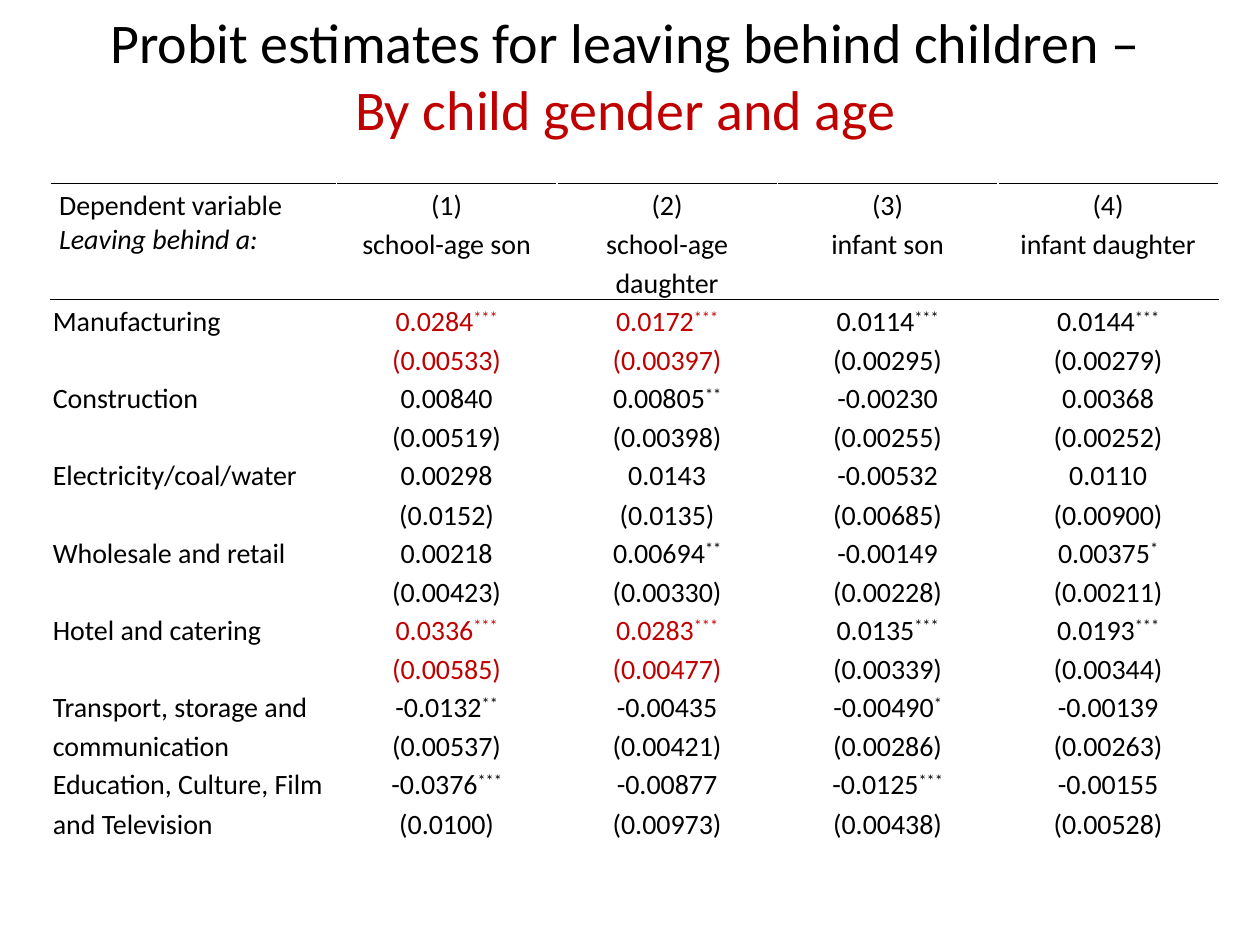
"""Build a slide with a table of probit estimates by child gender and age."""
from copy import deepcopy

from lxml import etree
from pptx import Presentation
from pptx.dml.color import RGBColor
from pptx.enum.text import MSO_ANCHOR, MSO_AUTO_SIZE, PP_ALIGN
from pptx.oxml.ns import qn
from pptx.util import Pt

CENTER, LEFT = PP_ALIGN.CENTER, PP_ALIGN.LEFT
MIDDLE = MSO_ANCHOR.MIDDLE
GROW = MSO_AUTO_SIZE.SHAPE_TO_FIT_TEXT
TITLE_ONLY = 5

COLORS = {"text": "000000", "accent": "C00000", "paper": "FFFFFF"}
COLUMN_WIDTHS = [163.4, 126, 126, 126, 126]
HEADER_HEIGHT, ROW_HEIGHT = 22, 44
HEADERS = [
    ["Dependent variable", "(1)", "(2)", "(3)", "(4)"],
    ["Leaving behind a:", "school-age son", "school-age daughter", "infant son", "infant daughter"],
]
ESTIMATES = [
    ["Manufacturing", "0.0284***\n(0.00533)", "0.0172***\n(0.00397)",
     "0.0114***\n(0.00295)", "0.0144***\n(0.00279)"],
    ["Construction", "0.00840\n(0.00519)", "0.00805**\n(0.00398)",
     "-0.00230\n(0.00255)", "0.00368\n(0.00252)"],
    ["Electricity/coal/water", "0.00298\n(0.0152)", "0.0143\n(0.0135)",
     "-0.00532\n(0.00685)", "0.0110\n(0.00900)"],
    ["Wholesale and retail", "0.00218\n(0.00423)", "0.00694**\n(0.00330)",
     "-0.00149\n(0.00228)", "0.00375*\n(0.00211)"],
    ["Hotel and catering", "0.0336***\n(0.00585)", "0.0283***\n(0.00477)",
     "0.0135***\n(0.00339)", "0.0193***\n(0.00344)"],
    ["Transport, storage and communication", "-0.0132**\n(0.00537)", "-0.00435\n(0.00421)",
     "-0.00490*\n(0.00286)", "-0.00139\n(0.00263)"],
    ["Education, Culture, Film and Television", "-0.0376***\n(0.0100)", "-0.00877\n(0.00973)",
     "-0.0125***\n(0.00438)", "-0.00155\n(0.00528)"],
]
HIGHLIGHTED_SECTORS = {"Manufacturing", "Hotel and catering"}
HIGHLIGHTED_COLUMNS = {1, 2}


def add_text(paragraph, text, *, size=16, color="text", italic=False, raised=False, font="Calibri"):
    """Add one formatted run, with a like-formatted break for each leading newline."""
    content = text.lstrip("\n")
    run = paragraph.add_run()
    run.text = content
    run.font.name, run.font.size, run.font.italic = font, Pt(size), italic
    run.font.color.rgb = RGBColor.from_string(COLORS[color])
    properties = run.font._element
    if raised:
        properties.set("baseline", "30000")
    for _ in range(len(text) - len(content)):
        line_break = etree.Element(qn("a:br"))
        line_break.append(deepcopy(properties))
        run._r.addprevious(line_break)


class SlideBuilder:
    """Hold the presentation style and the current slide."""

    def __init__(self, presentation):
        """Start a slide that has only a title."""
        self.line_spacing = 1.15
        self.slide = presentation.slides.add_slide(presentation.slide_layouts[TITLE_ONLY])

    def title(self, lead, topic, left, top, width, height):
        """Fill and place the title with its highlighted second line."""
        title = self.slide.shapes.title
        title.left, title.top, title.width, title.height = map(Pt, (left, top, width, height))
        frame = title.text_frame
        frame.word_wrap, frame.auto_size, frame.vertical_anchor = True, GROW, MIDDLE
        heading = frame.paragraphs[0]
        heading.alignment = CENTER
        add_text(heading, lead, size=32)
        add_text(heading, "\n" + topic, size=32, color="accent")

    def borders(self, cell, **sides):
        """Draw white cell borders, with other colours for the named sides."""
        properties = cell._tc.get_or_add_tcPr()
        for index, side in enumerate("LRTB"):
            line = etree.Element(qn("a:ln" + side), w=str(Pt(1)))
            fill = etree.SubElement(line, qn("a:solidFill"))
            etree.SubElement(fill, qn("a:srgbClr"), val=COLORS[sides.get(side, "paper")])
            properties.insert(index, line)

    def cell(self, cell, text, row, column, color):
        """Format one table cell and write its label or estimate."""
        is_header = row < len(HEADERS)
        is_label = column == 0
        cell.fill.solid()
        cell.fill.fore_color.rgb = RGBColor.from_string(COLORS["paper"])
        cell.margin_left = cell.margin_right = Pt(5 if is_header and is_label else 1.4)
        cell.margin_top = cell.margin_bottom = 0
        paragraph = cell.text_frame.paragraphs[0]
        paragraph.alignment = LEFT if is_label else CENTER
        is_subheading = is_label and row == 1
        if not is_subheading:
            paragraph.line_spacing = self.line_spacing
        value, _, deviation = text.partition("\n")
        number = value.rstrip("*")
        add_text(paragraph, number, color=color, italic=is_subheading)
        if number != value:
            add_text(paragraph, value[len(number):], color=color, raised=True)
        if deviation:
            add_text(paragraph, "\n" + deviation, color=color)
        self.borders(cell, T="text" if row in (0, 2) else "paper", B="text" if row == 1 else "paper")

    def table(self, rows, left, top):
        """Add the table of estimates."""
        heights = [HEADER_HEIGHT] + [ROW_HEIGHT] * (len(rows) - 1)
        table = self.slide.shapes.add_table(
            len(rows), len(COLUMN_WIDTHS), Pt(left), Pt(top),
            Pt(sum(COLUMN_WIDTHS)), Pt(sum(heights))).table
        table.first_row = table.horz_banding = False
        for column, width in zip(table.columns, COLUMN_WIDTHS):
            column.width = Pt(width)
        for row, (texts, height) in enumerate(zip(rows, heights)):
            table.rows[row].height = Pt(height)
            for column, text in enumerate(texts):
                highlighted = texts[0] in HIGHLIGHTED_SECTORS and column in HIGHLIGHTED_COLUMNS
                self.cell(table.cell(row, column), text, row, column,
                          "accent" if highlighted else "text")


def main():
    """Build and save the presentation."""
    presentation = Presentation()
    presentation.slide_width, presentation.slide_height = Pt(720), Pt(540)
    builder = SlideBuilder(presentation)
    builder.title("Probit estimates for leaving behind children –", "By child gender and age",
                  left=22.3, top=0, width=670.3, height=85)
    builder.table(HEADERS + ESTIMATES, left=28.8, top=105)
    presentation.save("out.pptx")


if __name__ == "__main__":
    main()
